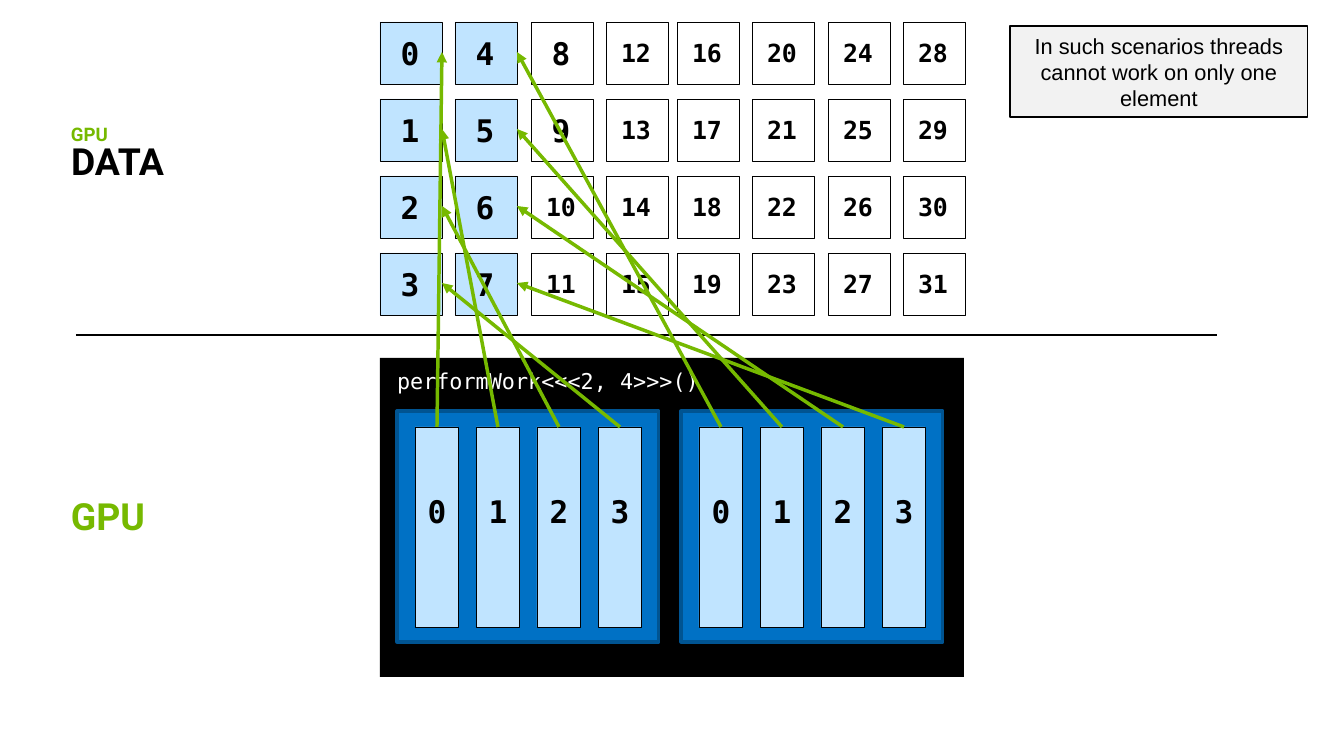
from lxml.etree import SubElement
from pptx import Presentation
from pptx.dml.color import RGBColor
from pptx.enum.shapes import MSO_CONNECTOR, MSO_SHAPE
from pptx.enum.text import MSO_ANCHOR, PP_ALIGN
from pptx.oxml.ns import qn
from pptx.util import Pt

PX = 914400 / 112
HUES = {"black": "000000", "white": "FFFFFF", "green": "76B900", "blue": "0071C5",
        "navy": "005492", "sky": "C0E4FF", "grey": "F2F2F2"}
MONO = "DejaVu Sans Mono"

deck = Presentation()
deck.slide_width, deck.slide_height = round(1344 * PX), round(756 * PX)
slide = deck.slides.add_slide(deck.slide_layouts[6])


def box(*area, fill=None, line=None, width=0.25):
    """Add a rectangle, or a plain text box when there is no fill."""
    area = [round(n * PX) for n in area]
    if fill is None:
        return slide.shapes.add_textbox(*area)
    shape = slide.shapes.add_shape(MSO_SHAPE.RECTANGLE, *area)
    shape.shadow.inherit = False
    shape.fill.solid()
    shape.fill.fore_color.rgb = RGBColor.from_string(HUES[fill])
    if line:
        shape.line.color.rgb = RGBColor.from_string(HUES[line])
        shape.line.width = Pt(width)
    else:
        shape.line.fill.background()
    return shape


def text(shape, words, size=20, face=MONO, hue="black", bold=True,
         align=PP_ALIGN.CENTER, anchor=MSO_ANCHOR.MIDDLE, space=1.0):
    """Write one formatted paragraph into a shape."""
    frame = shape.text_frame
    frame.word_wrap = True
    frame.vertical_anchor = anchor
    para = frame.paragraphs[0]
    para.alignment, para.line_spacing = align, space
    run = para.add_run()
    run.text = words
    font = run.font
    font.size, font.name, font.bold = Pt(size), face, bold
    font.color.rgb = RGBColor.from_string(HUES[hue])


# GPU panel with the kernel launch
box(380, 358, 584, 319, fill="black")
text(box(386, 367, 343, 28, fill="black"), "performWork<<<2, 4>>>()",
     size=14, hue="white", bold=False, align=PP_ALIGN.LEFT)

# Blocks and their threads
starts = []
for left in (397, 681):
    box(left, 411, 262, 231, fill="blue", line="navy", width=2)
    for i in range(4):
        x = left + 18 + 61 * i
        box(x, 427, 43, 200, fill="sky", line="black")
        text(box(x - 7, 487, 58, 49), str(i))
        starts.append((x + 22, 427))

# Data grid, numbered down each column
ends = []
for col, x in enumerate((380, 455, 531, 606, 677, 752, 828, 903)):
    for row in range(4):
        y = 22 + 77 * row
        num = 4 * col + row
        box(x, y, 62, 62, fill="sky" if num < 8 else "white", line="black")
        size, tall = (20, 49) if num < 10 else (16, 41)
        text(box(x + 1, y + 31 - tall / 2, 58, tall), str(num), size=size)
        ends.append((x + 62, y + 30))

# Section titles
for words, size, hue, area in (("GPU", 24, "green", (60, 492, 109, 52)),
                               ("DATA", 24, "black", (60, 137, 123, 52)),
                               ("GPU", 12, "green", (60, 120, 62, 31))):
    text(box(*area), words, size=size, face="Roboto", hue=hue,
         align=PP_ALIGN.LEFT, anchor=MSO_ANCHOR.BOTTOM, space=0.9)

# Divider, then an arrow from each thread to its element
links = [((76, 335), (1217, 335), "black", 1.5)]
links += [(a, b, "green", 2.25) for a, b in zip(starts, ends)]
for a, b, hue, width in links:
    link = slide.shapes.add_connector(MSO_CONNECTOR.STRAIGHT,
                                      *[round(n * PX) for n in a + b])
    link.line.color.rgb = RGBColor.from_string(HUES[hue])
    link.line.width = Pt(width)
    if hue == "green":
        SubElement(link.line._get_or_add_ln(), qn("a:tailEnd"), type="triangle")
    SubElement(link._element.spPr, qn("a:effectLst"))

# Callout
text(box(1010, 26, 298, 91, fill="grey", line="black", width=0.75),
     "In such scenarios threads cannot work on only one element",
     size=14, face="Arial", bold=False)

deck.save("out.pptx")
